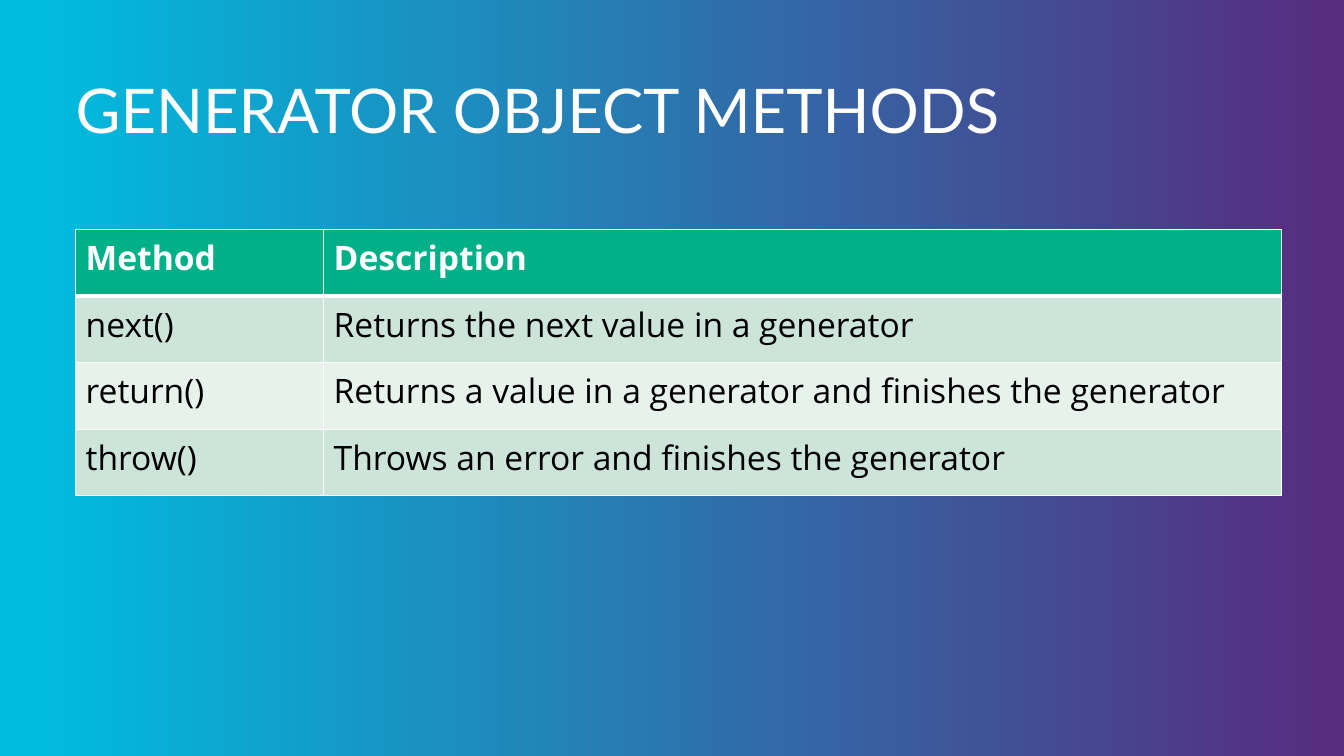
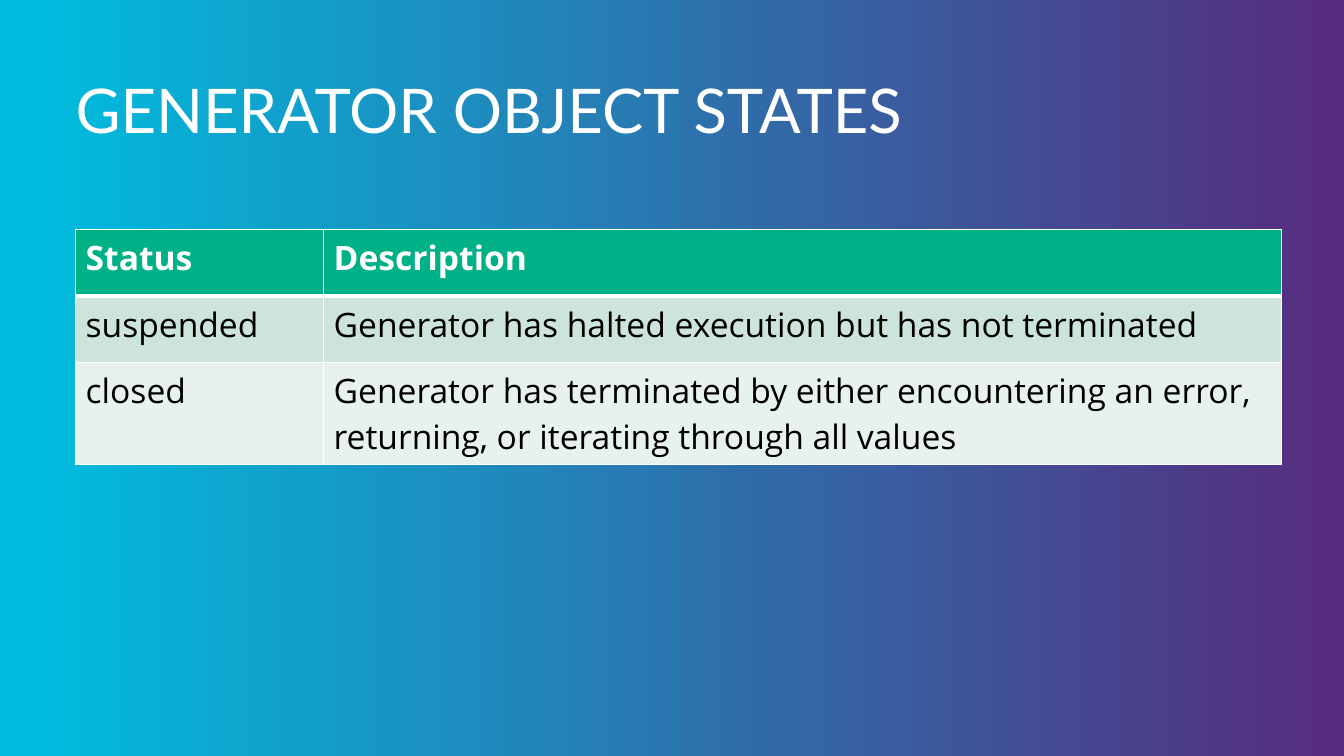
"""Build two slides on generator objects, each with a title and a table."""
from dataclasses import dataclass

from lxml.etree import SubElement as Sub
from pptx import Presentation
from pptx.dml.color import RGBColor as RGB
from pptx.enum.text import MSO_ANCHOR as Anchor
from pptx.oxml.ns import qn
from pptx.slide import Slide
from pptx.table import _Cell as Cell
from pptx.text.text import _Paragraph as Para
from pptx.util import Inches, Pt

WHITE = RGB(0xFF, 0xFF, 0xFF)
BLACK = RGB(0x00, 0x00, 0x00)
PURPLE = RGB(0x56, 0x2D, 0x7F)
CYAN = RGB(0x00, 0xBC, 0xDE)
GREEN = RGB(0x00, 0xB1, 0x88)
BANDS = (RGB(0xCC, 0xE4, 0xDA), RGB(0xE7, 0xF2, 0xED))
STOPS = ((0.01, PURPLE), (0.98, CYAN))
HEAD = "Lato"
BODY = "Open Sans"
LEFT = 0.75
COLS = (2.46, 9.5)
ROW, TALL = 0.66, 1.01
THIN, THICK = 1, 3


@dataclass(frozen=True)
class Row:
    name: str
    text: str
    height: float = ROW


@dataclass(frozen=True)
class Page:
    title: str
    rows: tuple[Row, ...]


PAGES = (
    Page("GENERATOR OBJECT METHODS", (
        Row("Method", "Description"),
        Row("next()", "Returns the next value in a generator"),
        Row("return()", "Returns a value in a generator and finishes the generator"),
        Row("throw()", "Throws an error and finishes the generator"),
    )),
    Page("GENERATOR OBJECT STATES", (
        Row("Status", "Description"),
        Row("suspended", "Generator has halted execution but has not terminated"),
        Row("closed", "Generator has terminated by either encountering an error, "
                      "returning, or iterating through all values", TALL),
    )),
)


def add_run(para: Para, text: str, face: str, size: int, color: RGB, bold: bool = False) -> None:
    run = para.add_run()
    run.text = text
    font = run.font
    font.name, font.size, font.bold = face, Pt(size), bold
    font.color.rgb = color


def paint_back(slide: Slide) -> None:
    fill = slide.background.fill
    fill.gradient()
    fill.gradient_angle = 180
    for stop, (place, color) in zip(fill.gradient_stops, STOPS):
        stop.position = place
        stop.color.rgb = color


def add_title(slide: Slide, text: str) -> None:
    box = slide.shapes.add_textbox(Inches(LEFT), Inches(0.75), Inches(11.83), Inches(0.75))
    frame = box.text_frame
    frame.word_wrap = True
    frame.margin_left = 0
    frame.vertical_anchor = Anchor.MIDDLE
    para = frame.paragraphs[0]
    para.line_spacing = 0.9
    add_run(para, text, HEAD, 44, WHITE)


def add_edges(cell: Cell, top: int, base: int) -> None:
    props = cell._tc.get_or_add_tcPr()
    for side, width in (("L", THIN), ("R", THIN), ("T", top), ("B", base)):
        line = Sub(props, qn(f"a:ln{side}"), w=str(Pt(width)))
        Sub(Sub(line, qn("a:solidFill")), qn("a:srgbClr"), val=str(WHITE))


def fill_cell(cell: Cell, text: str, index: int) -> None:
    first = index == 0
    add_edges(cell, THICK if index == 1 else THIN, THICK if first else THIN)
    cell.fill.solid()
    cell.fill.fore_color.rgb = GREEN if first else BANDS[(index - 1) % 2]
    add_run(cell.text_frame.paragraphs[0], text, BODY, 24, WHITE if first else BLACK, first)


def add_grid(slide: Slide, rows: tuple[Row, ...]) -> None:
    height = sum(row.height for row in rows)
    table = slide.shapes.add_table(len(rows), len(COLS), Inches(LEFT), Inches(2.28),
                                   Inches(sum(COLS)), Inches(height)).table
    table.horz_banding = False
    for col, width in zip(table.columns, COLS):
        col.width = Inches(width)
    for index, row in enumerate(rows):
        table.rows[index].height = Inches(row.height)
        for col, text in enumerate((row.name, row.text)):
            fill_cell(table.cell(index, col), text, index)


def main() -> None:
    deck = Presentation()
    deck.slide_width, deck.slide_height = Inches(13.33), Inches(7.5)
    for page in PAGES:
        slide = deck.slides.add_slide(deck.slide_layouts[6])
        paint_back(slide)
        add_title(slide, page.title)
        add_grid(slide, page.rows)
    deck.save("out.pptx")


if __name__ == "__main__":
    main()
